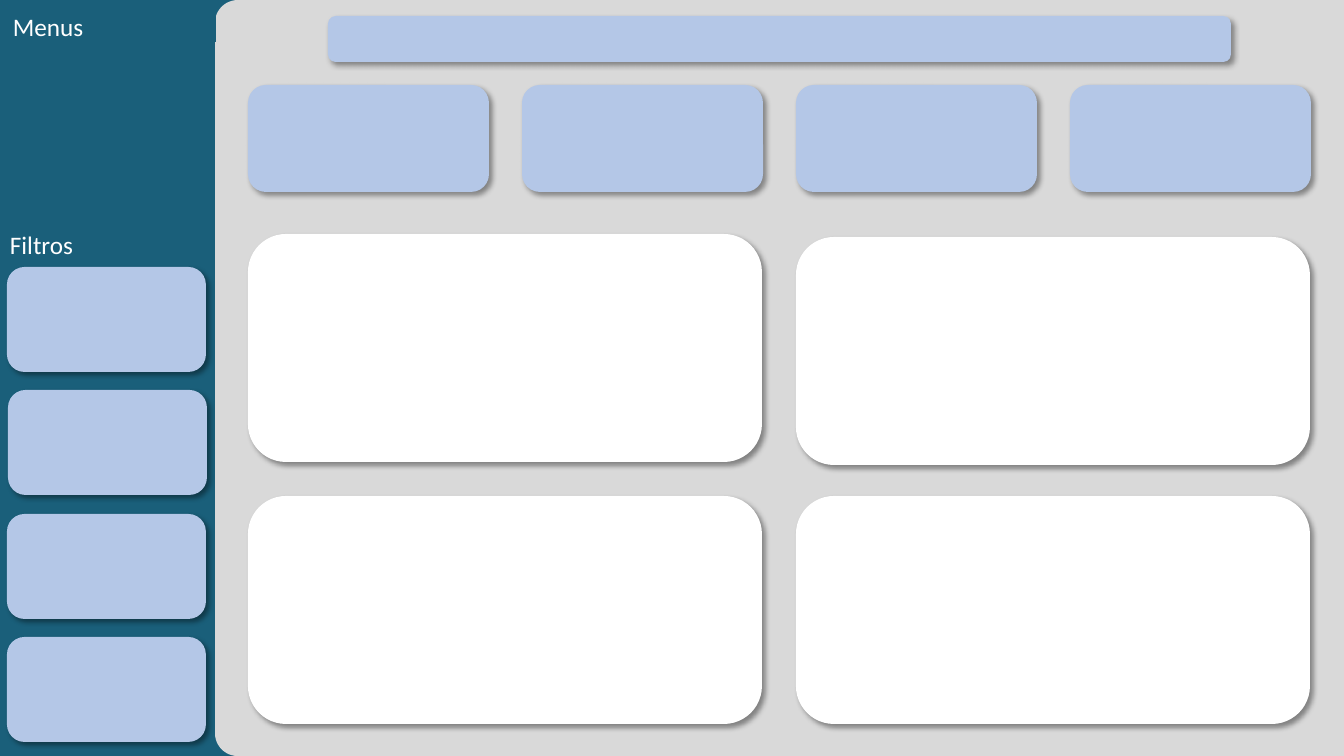
import pptx
import pptx.util
import pptx.dml.color
import pptx.enum.shapes
import pptx.enum.text
import pptx.oxml
import pptx.oxml.ns

# Content: lengths in px, places as (left, top)
PAGE_SIZE = (1344, 756)
PANEL_LEFT = 215
LABELS = [("Menus", 3, 11), ("Filtros", 0, 229)]
LABEL_SIZE = (213, 31)
TITLE_BAR = (328, 16, 903, 46)
CARDS = {"count": 4, "left": 248, "top": 85, "step": 274, "size": (241, 107)}
CHART_PANELS = [(248, 234), (796, 237), (248, 496), (796, 496)]
CHART_PANEL_SIZE = (514, 228)
FILTERS = [(7, 267), (8, 390), (7, 514), (7, 637)]
FILTER_SIZE = (199, 105)

THEME = {
    "sidebar": "1A5F7A",
    "panel": "D9D9D9",
    "card": "B4C7E7",
    "chart": "FFFFFF",
    "text": "FFFFFF",
    "font": "Calibri",
    "label_size": 18,
    "shadow": {"color": "000000", "alpha": 40, "blur": 4, "distance": 3, "angle": 45},
}
EMU_PER_PX = 914400 / 100.8
SHAPES = pptx.enum.shapes.MSO_SHAPE


def px(length):
    return pptx.util.Emu(round(length * EMU_PER_PX))


def rgb(name):
    return pptx.dml.color.RGBColor.from_string(THEME[name])


def add_box(page, kind, left, top, width, height, color):
    box = page.shapes.add_shape(kind, px(left), px(top), px(width), px(height))
    box.shadow.inherit = False
    box.fill.solid()
    box.fill.fore_color.rgb = rgb(color)
    box.line.fill.background()
    return box


def add_card(page, left, top, width, height, color):
    box = add_box(page, SHAPES.ROUNDED_RECTANGLE, left, top, width, height, color)
    shadow = THEME["shadow"]
    effects = box._element.spPr.find(pptx.oxml.ns.qn("a:effectLst"))
    effects.append(pptx.oxml.parse_xml(
        f'<a:outerShdw {pptx.oxml.ns.nsdecls("a")} blurRad="{shadow["blur"] * 12700}" '
        f'dist="{shadow["distance"] * 12700}" dir="{shadow["angle"] * 60000}" '
        f'algn="tl" rotWithShape="0"><a:srgbClr val="{shadow["color"]}">'
        f'<a:alpha val="{shadow["alpha"] * 1000}"/></a:srgbClr></a:outerShdw>'))


def add_label(page, text, left, top):
    box = add_box(page, SHAPES.RECTANGLE, left, top, *LABEL_SIZE, "sidebar")
    frame = box.text_frame
    frame.text = text
    frame.word_wrap = True
    frame.vertical_anchor = pptx.enum.text.MSO_ANCHOR.MIDDLE
    para = frame.paragraphs[0]
    para.alignment = pptx.enum.text.PP_ALIGN.LEFT
    span = para.runs[0]
    span.font.name = THEME["font"]
    span.font.size = pptx.util.Pt(THEME["label_size"])
    span.font.color.rgb = rgb("text")


def add_main_panel(page):
    # Turned a quarter to the left, so its rounded top faces the sidebar
    page_width, page_height = PAGE_SIZE
    length = page_width - PANEL_LEFT
    shift = (length - page_height) / 2
    panel = add_box(page, SHAPES.ROUND_2_SAME_RECTANGLE, PANEL_LEFT + shift, -shift,
                    page_height, length, "panel")
    panel.rotation = 270
    panel.adjustments[0] = 0.03
    panel.adjustments[1] = 0


def main():
    deck = pptx.Presentation()
    deck.slide_width, deck.slide_height = map(px, PAGE_SIZE)
    page = deck.slides.add_slide(deck.slide_layouts[6])

    # Background and main panel
    add_box(page, SHAPES.RECTANGLE, 0, 0, *PAGE_SIZE, "sidebar")
    add_main_panel(page)

    # Title bar and indicator cards
    add_card(page, *TITLE_BAR, "card")
    for index in range(CARDS["count"]):
        left = CARDS["left"] + index * CARDS["step"]
        add_card(page, left, CARDS["top"], *CARDS["size"], "card")

    # Chart panels
    for left, top in CHART_PANELS:
        add_card(page, left, top, *CHART_PANEL_SIZE, "chart")

    # Sidebar
    for text, left, top in LABELS:
        add_label(page, text, left, top)
    for left, top in FILTERS:
        add_card(page, left, top, *FILTER_SIZE, "card")

    deck.save("out.pptx")


if __name__ == "__main__":
    main()
